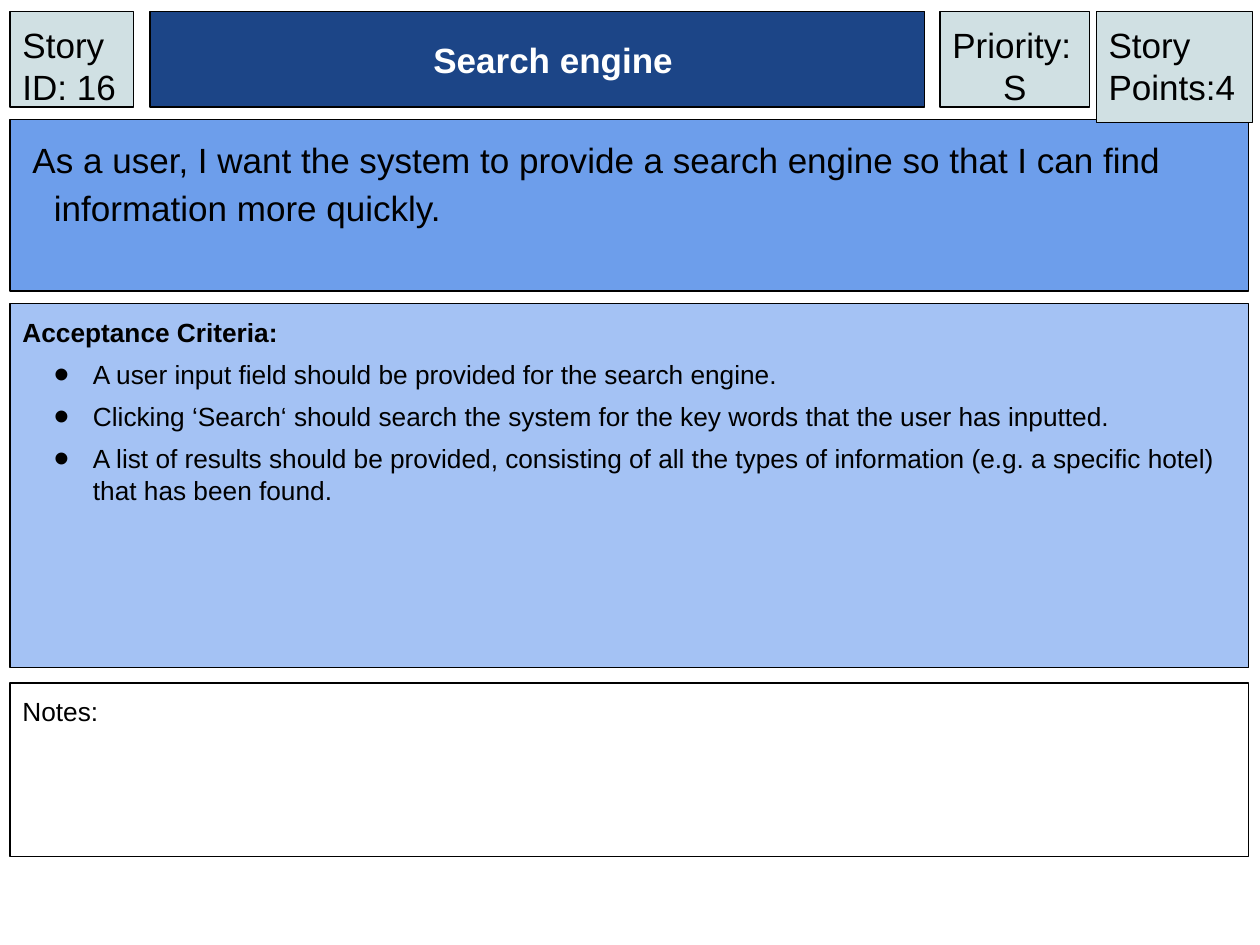
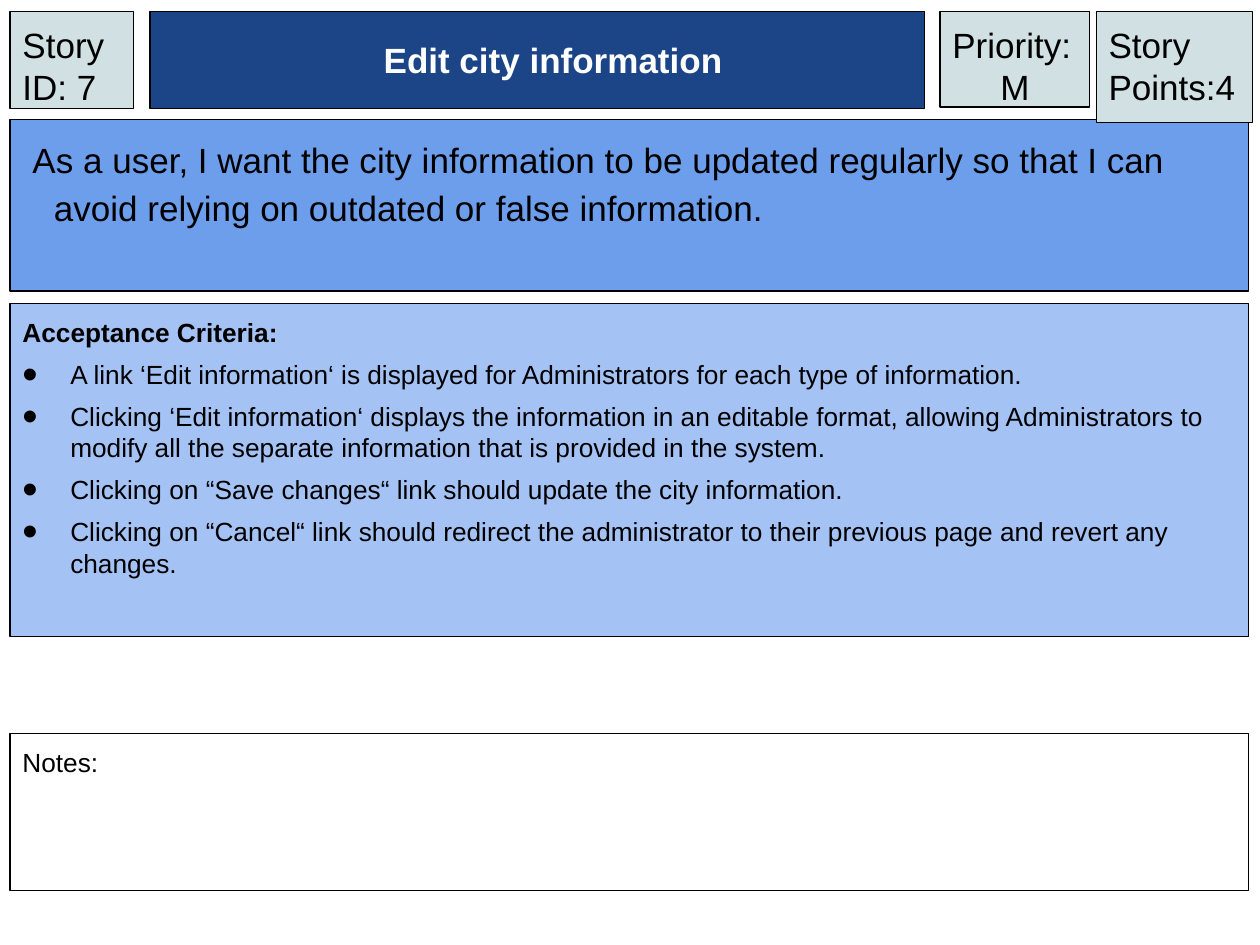
from lxml.etree import SubElement as Sub
from pptx import Presentation
from pptx.dml.color import RGBColor as RGB
from pptx.enum.shapes import MSO_SHAPE as Form
from pptx.enum.text import MSO_ANCHOR as Anchor, PP_ALIGN as Align
from pptx.oxml.ns import qn
from pptx.util import Inches, Pt

# Colours
NAVY = RGB(0x1C, 0x45, 0x87)
BLUE = RGB(0x6D, 0x9E, 0xEB)
PALE = RGB(0xA4, 0xC2, 0xF4)
MIST = RGB(0xD0, 0xE0, 0xE3)
WHITE = RGB(255, 255, 255)
BLACK = RGB(0, 0, 0)

# Shared layout, in inches
LEFT, TOP, WIDE = 0.08, 0.09, 9.83
PAD = Inches(0.1)
FRAME = {"word_wrap": True, "margin_left": PAD, "margin_right": PAD,
         "margin_top": PAD, "margin_bottom": PAD}
HANG = (0.38, -0.38)
GAP = {"space_before": Pt(6)}

CARDS = [
    {"id": "16", "rank": "S", "points": "4", "title": "Search engine",
     "head": 0.76, "list": 2.89, "notes": (5.42, 1.38), "hang": (0.56, -0.31),
     "story": "As a user, I want the system to provide a search engine "
              "so that I can find information more quickly.",
     "tests": [
         "A user input field should be provided for the search engine.",
         "Clicking ‘Search‘ should search the system for the key words that "
         "the user has inputted.",
         "A list of results should be provided, consisting of all the types "
         "of information (e.g. a specific hotel) that has been found."]},
    {"id": "7", "rank": "M", "points": "4", "title": "Edit city information",
     "head": 0.77, "list": 2.64, "notes": (5.82, 1.25), "hang": HANG,
     "story": "As a user, I want the city information to be updated regularly "
              "so that I can avoid relying on outdated or false information.",
     "tests": [
         "A link ‘Edit information‘ is displayed for Administrators for each "
         "type of information.",
         "Clicking ‘Edit information‘ displays the information in an editable "
         "format, allowing Administrators to modify all the separate "
         "information that is provided in the system.",
         "Clicking on “Save changes“ link should update the city information.",
         "Clicking on “Cancel“ link should redirect the administrator to their "
         "previous page and revert any changes."]},
]


def put(item, values):
    for name, value in values.items():
        setattr(item, name, value)


class Deck:
    def __init__(self):
        self.show = Presentation()
        put(self.show, {"slide_width": Inches(10), "slide_height": Inches(7.5)})
        self.slide = None

    def page(self):
        self.slide = self.show.slides.add_slide(self.show.slide_layouts[6])

    def box(self, x, y, w, h, fill, anchor=Anchor.TOP):
        """Add an outlined panel and return its text frame."""
        shape = self.slide.shapes.add_shape(
            Form.RECTANGLE, *map(Inches, (x, y, w, h)))
        shape.shadow.inherit = False
        shape.fill.solid()
        shape.fill.fore_color.rgb = fill
        shape.line.color.rgb = BLACK
        shape.line.width = Pt(0.75)
        put(shape.text_frame, FRAME | {"vertical_anchor": anchor})
        return shape.text_frame

    def text(self, frame, words, size=20, bold=False, color=BLACK,
             hang=(0, 0), dot=False, **form):
        """Fill the empty first paragraph, or add one below."""
        para = frame.paragraphs[0]
        if para.runs:
            para = frame.add_paragraph()
        props = para._p.get_or_add_pPr()
        for name, inch in zip(("marL", "indent"), hang):
            props.set(name, str(Inches(inch)))
        if dot:
            self.dot(props)
        put(para, {"alignment": Align.LEFT} | form)
        run = para.add_run()
        run.text = words
        put(run.font, {"name": "Arial", "size": Pt(size), "bold": bold})
        run.font.color.rgb = color

    def dot(self, props):
        tint = Sub(props, qn("a:buClr"))
        Sub(tint, qn("a:srgbClr"), val=str(BLACK))
        Sub(props, qn("a:buSzPct"), val="167000")
        Sub(props, qn("a:buFont"), typeface="Arial")
        Sub(props, qn("a:buChar"), char="•")

    def chip(self, x, w, h, *lines):
        frame = self.box(x, TOP, w, h, MIST)
        for row, words in enumerate(lines):
            self.text(frame, words,
                      alignment=Align.CENTER if row else Align.LEFT)

    def card(self, card):
        self.page()
        # Story and title
        self.text(self.box(LEFT, 0.95, WIDE, 1.36, BLUE), card["story"],
                  hang=(0.25, -0.17), line_spacing=1.15)
        head = self.box(1.19, TOP, 6.15, card["head"], NAVY, Anchor.MIDDLE)
        self.text(head, card["title"], bold=True, color=WHITE,
                  hang=(0, 0.25), alignment=Align.CENTER)
        # Acceptance criteria
        frame = self.box(LEFT, 2.41, WIDE, card["list"], PALE)
        self.text(frame, "Acceptance Criteria:", 15, True, hang=HANG)
        for test in card["tests"]:
            self.text(frame, test, 15, hang=card["hang"], dot=True, **GAP)
        # Notes
        y, h = card["notes"]
        self.text(self.box(LEFT, y, WIDE, h, WHITE), "Notes:", 15, hang=HANG)
        # Facts in the top corners
        self.chip(8.7, 1.24, 0.88, "Story Points:" + card["points"])
        self.chip(7.46, 1.19, 0.76, "Priority:", card["rank"])
        self.chip(LEFT, 0.98, card["head"], "Story ID: " + card["id"])


def main():
    deck = Deck()
    for card in CARDS:
        deck.card(card)
    deck.show.save("out.pptx")


if __name__ == "__main__":
    main()
